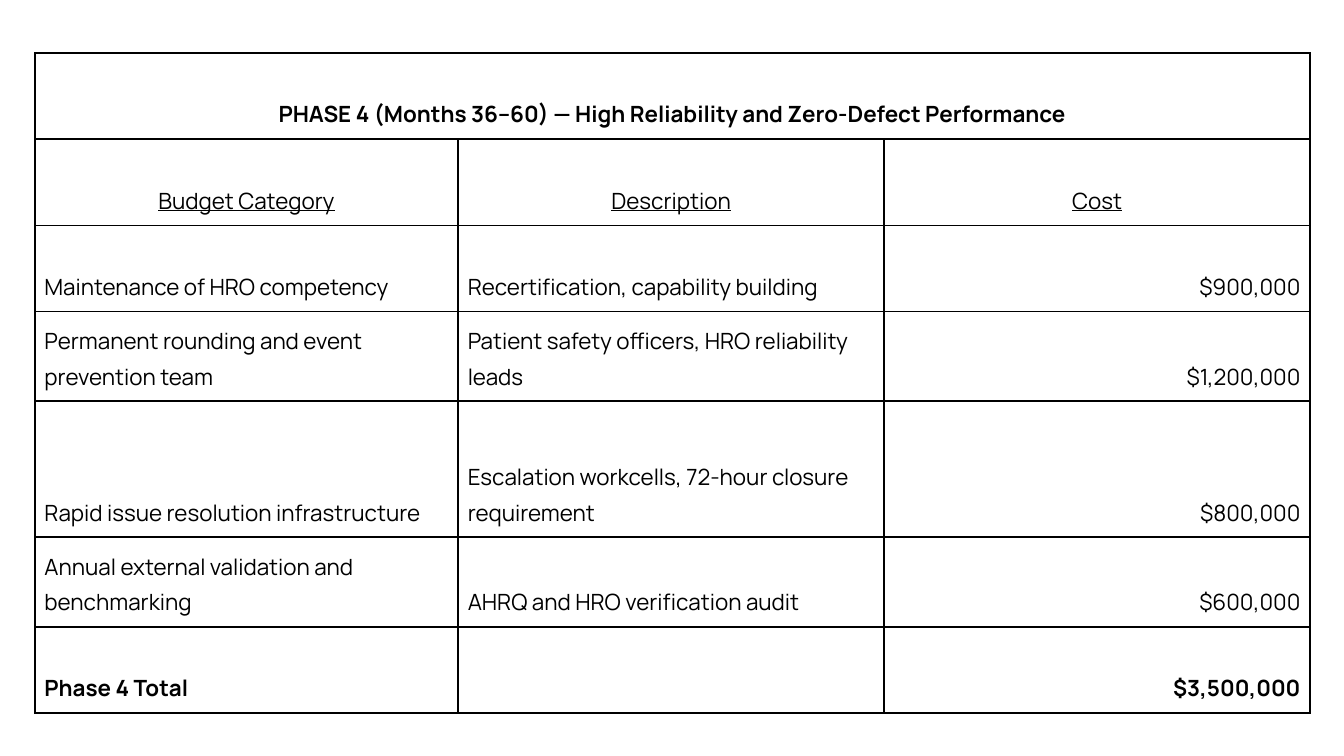
from lxml import etree
from pptx import Presentation
from pptx import util as u
from pptx.dml.color import RGBColor
from pptx.enum import text
from pptx.oxml import ns

BLACK, WHITE = "000000", "FFFFFF"


def color(value):
    return RGBColor.from_string(value)


def add_borders(cell, value, width):
    properties = cell._tc.get_or_add_tcPr()
    for side in ("lnL", "lnR", "lnT", "lnB"):
        line = etree.SubElement(properties, ns.qn(f"a:{side}"), w=str(width))
        fill = etree.SubElement(line, ns.qn("a:solidFill"))
        etree.SubElement(fill, ns.qn("a:srgbClr"), val=value)


budget = [
    ["PHASE 4 (Months 36–60) — High Reliability and Zero-Defect Performance", "", ""],
    ["Budget Category", "Description", "Cost"],
    ["Maintenance of HRO competency", "Recertification, capability building", "$900,000"],
    ["Permanent rounding and event prevention team",
     "Patient safety officers, HRO reliability leads", "$1,200,000"],
    ["Rapid issue resolution infrastructure",
     "Escalation workcells, 72-hour closure requirement", "$800,000"],
    ["Annual external validation and benchmarking",
     "AHRQ and HRO verification audit", "$600,000"],
    ["Phase 4 Total", "", "$3,500,000"],
]
column_widths = [8, 8.05, 8.05]
row_heights = [1.63, 1.63, 1.63, 1.63, 2.57, 1.63, 1.63]
title_row, header_row, total_row = 0, 1, len(budget) - 1
cost_column = 2

presentation = Presentation()
presentation.slide_width = u.Cm(25.4)
presentation.slide_height = u.Cm(14.29)
slide = presentation.slides.add_slide(presentation.slide_layouts[6])

table = slide.shapes.add_table(
    len(budget), len(column_widths), u.Cm(0.66), u.Cm(1),
    u.Cm(sum(column_widths)), u.Cm(sum(row_heights))).table
table.first_row = table.horz_banding = False
for column, width in zip(table.columns, column_widths):
    column.width = u.Cm(width)
for row, height in zip(table.rows, row_heights):
    row.height = u.Cm(height)
table.cell(title_row, 0).merge(table.cell(title_row, cost_column))

for row_index, entries in enumerate(budget):
    for column_index, entry in enumerate(entries):
        cell = table.cell(row_index, column_index)
        add_borders(cell, BLACK, u.Pt(1))
        cell.fill.solid()
        cell.fill.fore_color.rgb = color(WHITE)
        cell.vertical_anchor = text.MSO_ANCHOR.BOTTOM
        cell.margin_left = cell.margin_right = u.Cm(0.18)
        cell.margin_top = cell.margin_bottom = u.Cm(0.18)

        paragraph = cell.text_frame.paragraphs[0]
        paragraph.text = entry
        paragraph.line_spacing = 1.15
        if row_index <= header_row:
            paragraph.alignment = text.PP_ALIGN.CENTER
        elif column_index == cost_column:
            paragraph.alignment = text.PP_ALIGN.RIGHT
        else:
            paragraph.alignment = text.PP_ALIGN.LEFT
        paragraph.font.name = "Manrope"
        paragraph.font.size = u.Pt(12)
        paragraph.font.color.rgb = color(BLACK)
        paragraph.font.bold = row_index in (title_row, total_row)
        paragraph.font.underline = row_index == header_row

presentation.save("out.pptx")
